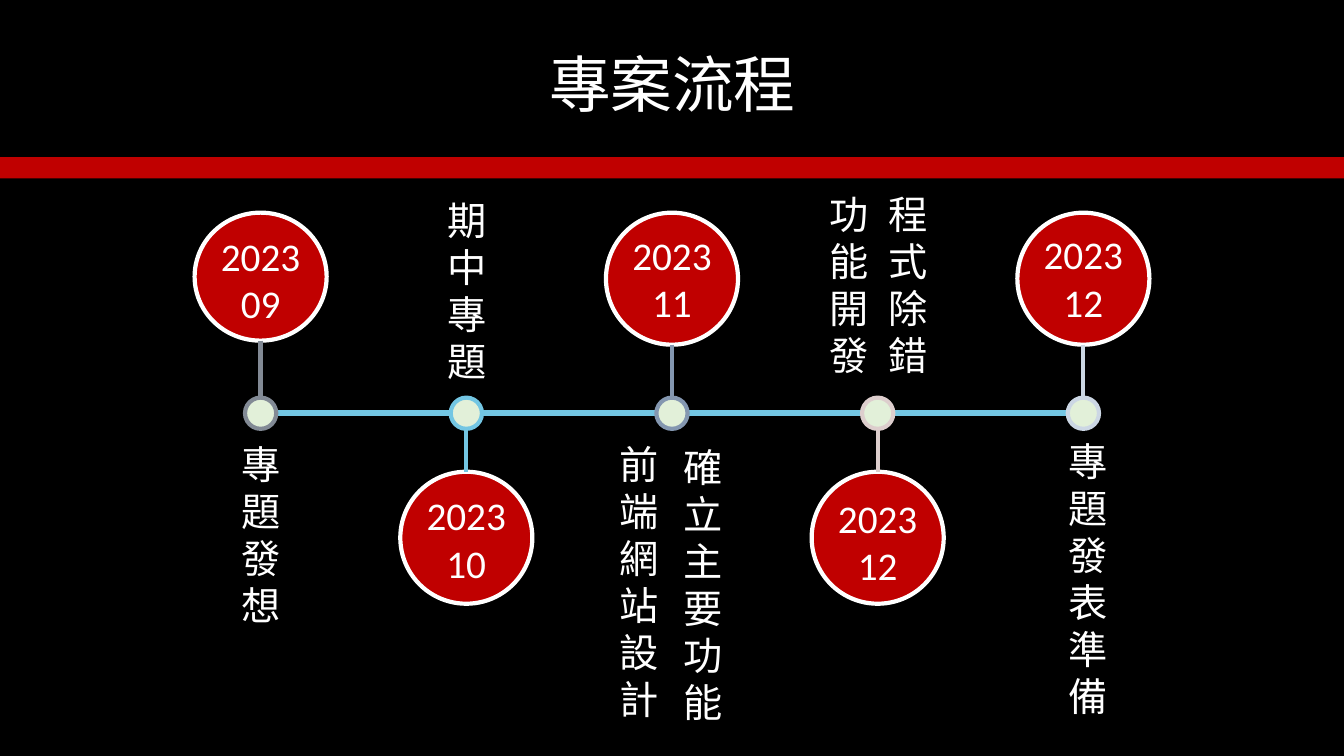
from dataclasses import dataclass

from lxml.etree import SubElement
from pptx import Presentation
from pptx.dml.color import RGBColor
from pptx.enum.shapes import MSO_CONNECTOR as Connector, MSO_SHAPE as Shape
from pptx.enum.text import MSO_ANCHOR as Anchor, PP_ALIGN as Align
from pptx.oxml.ns import qn
from pptx.util import Inches, Pt

BLACK = RGBColor(0x00, 0x00, 0x00)
WHITE = RGBColor(0xFF, 0xFF, 0xFF)
RED = RGBColor(0xC0, 0x00, 0x00)
PALE_GREEN = RGBColor(0xE2, 0xF0, 0xD9)
GREY = RGBColor(0x82, 0x8A, 0x95)
SKY = RGBColor(0x73, 0xC6, 0xE3)
SLATE = RGBColor(0x84, 0x97, 0xB0)
ROSE = RGBColor(0xDD, 0xCE, 0xCD)
MIST = RGBColor(0xCC, 0xD7, 0xE4)

SLIDE_WIDTH = 13.33
FIRST_CENTER, STEP = 2.585, 2.04
AXIS_Y = 4.1
DOT_SIZE = 0.31
CIRCLE_SIZE = 1.31
UPPER_TOP, LOWER_TOP = 2.11, 4.68
DATE_WIDTH, DATE_HEIGHT = 1.23, 1.04
LABEL_WIDTH = 0.57


@dataclass
class Milestone:
    """Labels are (text, centre offset from the dot, top, height)."""
    month: str
    color: RGBColor
    above: bool
    date_top: float
    labels: list
    circle_height: float = CIRCLE_SIZE


MILESTONES = [
    Milestone("09", GREY, True, 2.26, [("專題發想", 0, 4.32, 2.09)], 1.27),
    Milestone("10", SKY, False, 4.83, [("期中專題", 0, 1.9, 2.09)]),
    Milestone("11", SLATE, True, 2.25, [("前端網站設計", -0.33, 4.32, 3.03),
                                        ("確立主要功能", 0.3, 4.35, 3.03)]),
    Milestone("12", ROSE, False, 4.85, [("功能開發", -0.29, 1.84, 2.09),
                                        ("程式除錯", 0.29, 1.84, 2.09)]),
    Milestone("12", MIST, True, 2.24, [("專題發表準備", 0.04, 4.29, 3.03)]),
]


def format_text(text_frame, font_name, size, alignment=None):
    for paragraph in text_frame.paragraphs:
        paragraph.alignment = alignment
        for run in paragraph.runs:
            run.font.name = font_name
            run.font.size = Pt(size)
            run.font.color.rgb = WHITE


def add_filled(slide, preset, left, top, width, height, fill, outline=None):
    shape = slide.shapes.add_shape(
        preset, Inches(left), Inches(top), Inches(width), Inches(height))
    shape.shadow.inherit = False
    shape.fill.solid()
    shape.fill.fore_color.rgb = fill
    if outline is None:
        shape.line.fill.background()
    else:
        shape.line.color.rgb = outline
        shape.line.width = Pt(3)


def add_line(slide, start, end, color, width):
    line = slide.shapes.add_connector(
        Connector.STRAIGHT, *map(Inches, (*start, *end)))
    line.line.color.rgb = color
    line.line.width = Pt(width)
    SubElement(line._element.spPr, qn("a:effectLst"))
    return line


def add_text(slide, text, left, top, width, height, font_name, alignment=None):
    box = slide.shapes.add_textbox(
        Inches(left), Inches(top), Inches(width), Inches(height))
    box.text_frame.word_wrap = True
    box.text_frame.text = text
    format_text(box.text_frame, font_name, 28, alignment)


def add_header(slide):
    title = slide.shapes.title
    title.left, title.top = Inches(0.92), Inches(0.14)
    title.width, title.height = Inches(11.5), Inches(1.45)
    title.text_frame.text = "專案流程"
    title.text_frame.vertical_anchor = Anchor.MIDDLE
    title.text_frame.paragraphs[0].line_spacing = 0.9
    format_text(title.text_frame, "Noto Sans CJK SC", 44, Align.CENTER)
    add_filled(slide, Shape.RECTANGLE, 0, 1.56, SLIDE_WIDTH, 0.21, RED)


def add_axis(slide, left, right):
    axis = add_line(slide, (left, AXIS_Y), (right, AXIS_Y), SKY, 4.5)
    outline = axis.line._get_or_add_ln()
    for end in ("a:headEnd", "a:tailEnd"):
        SubElement(outline, qn(end), type="oval")


def add_milestone(slide, center, milestone):
    dot_top = AXIS_Y - DOT_SIZE / 2
    add_filled(slide, Shape.OVAL, center - DOT_SIZE / 2, dot_top,
               DOT_SIZE, DOT_SIZE, PALE_GREEN, milestone.color)

    # A narrow box wraps after every character, giving a vertical label.
    for text, offset, top, height in milestone.labels:
        add_text(slide, text, center + offset - LABEL_WIDTH / 2, top,
                 LABEL_WIDTH, height, "Lato")

    if milestone.above:
        circle_top = UPPER_TOP
        stem = circle_top + milestone.circle_height, dot_top
    else:
        circle_top = LOWER_TOP
        stem = circle_top, dot_top + DOT_SIZE
    add_filled(slide, Shape.OVAL, center - CIRCLE_SIZE / 2, circle_top,
               CIRCLE_SIZE, milestone.circle_height, RED, WHITE)
    add_line(slide, (center, stem[0]), (center, stem[1]), milestone.color, 3)
    add_text(slide, f"2023\n{milestone.month}", center - DATE_WIDTH / 2,
             milestone.date_top, DATE_WIDTH, DATE_HEIGHT, "Calibri", Align.CENTER)


def main():
    presentation = Presentation()
    presentation.slide_width = Inches(SLIDE_WIDTH)
    presentation.slide_height = Inches(7.5)
    slide = presentation.slides.add_slide(presentation.slide_layouts[5])
    slide.background.fill.solid()
    slide.background.fill.fore_color.rgb = BLACK

    add_header(slide)
    centers = [FIRST_CENTER + STEP * i for i in range(len(MILESTONES))]
    add_axis(slide, centers[0], centers[-1])
    for center, milestone in zip(centers, MILESTONES):
        add_milestone(slide, center, milestone)
    presentation.save("out.pptx")


if __name__ == "__main__":
    main()
